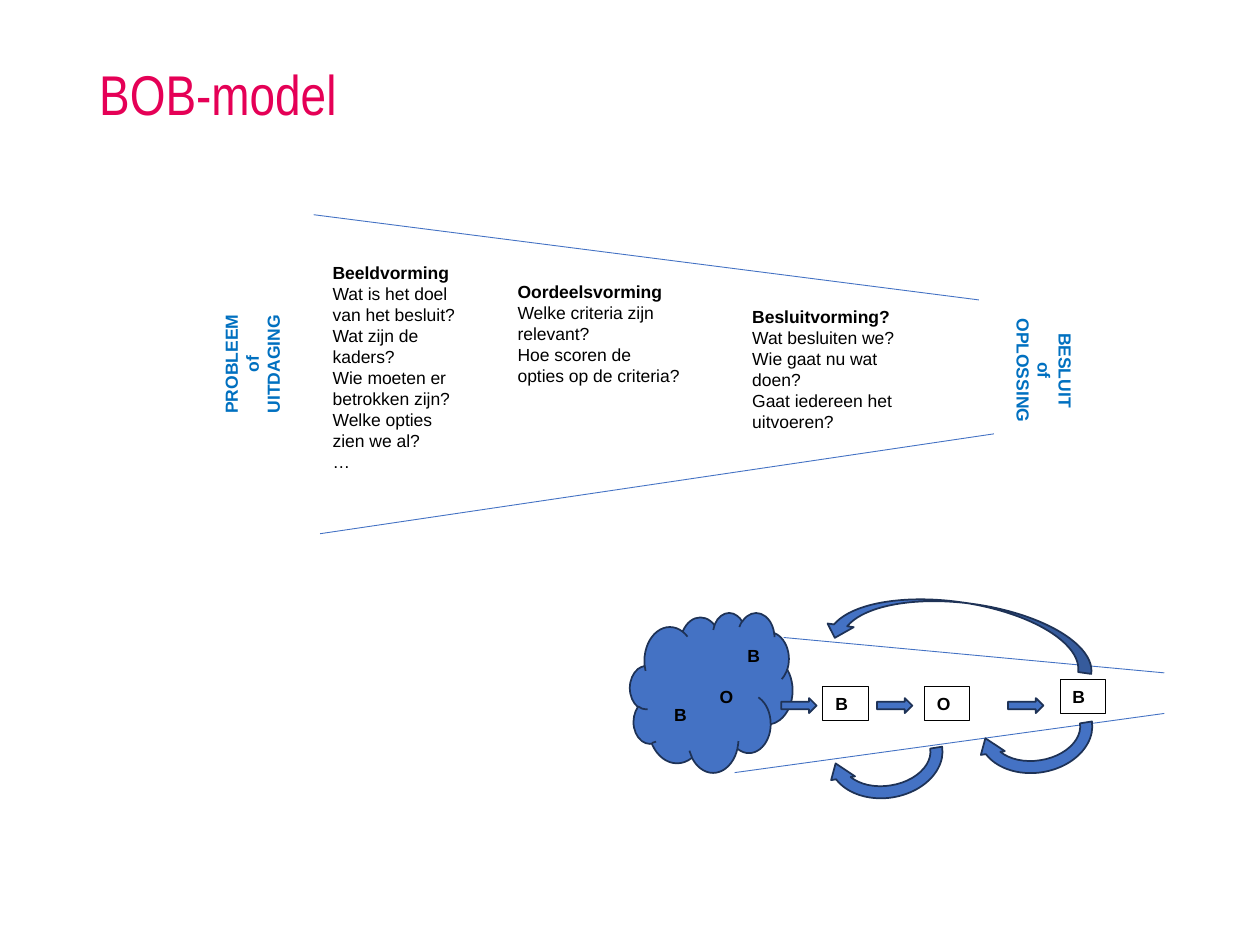
"""Build the BOB-model slide: a decision funnel above a small iterative loop."""
from dataclasses import dataclass

import pptx
import pptx.dml.color
import pptx.enum.shapes
import pptx.enum.text
import pptx.oxml
import pptx.util

Pt = pptx.util.Pt
Preset = pptx.enum.shapes.MSO_SHAPE
Align = pptx.enum.text.PP_ALIGN
Anchor = pptx.enum.text.MSO_ANCHOR


@dataclass(frozen=True)
class Theme:
    title: str = "E50056"
    blue: str = "4472C4"
    outline: str = "1E3256"
    label: str = "0070C0"
    black: str = "000000"
    white: str = "FFFFFF"
    title_font: str = "Arial Narrow"
    body_font: str = "Arial"
    title_size: float = 32
    body_size: float = 10
    hairline: float = 0.5
    edge: float = 1


THEME = Theme()


def rgb(value):
    return pptx.dml.color.RGBColor.from_string(value)


def add_span(para, text, font, size, color, bold=False):
    span = para.add_run()
    span.text = text
    span.font.name = font
    span.font.size = Pt(size)
    span.font.bold = bold
    span.font.color.rgb = rgb(color)


def add_title(page, text):
    box = page.shapes.title
    box.left, box.top, box.width, box.height = Pt(49.5), Pt(32.4), Pt(620.6), Pt(43.9)
    frame = box.text_frame
    frame.auto_size = pptx.enum.text.MSO_AUTO_SIZE.NONE
    frame.vertical_anchor = Anchor.BOTTOM
    para = frame.paragraphs[0]
    para.alignment = Align.LEFT
    para.line_spacing = 0.9
    add_span(para, text, THEME.title_font, THEME.title_size, THEME.title)


def add_box(page, preset, place, fill, line=None, weight=THEME.edge, turn=0):
    box = page.shapes.add_shape(preset, *(Pt(length) for length in place))
    box.shadow.inherit = False
    box.rotation = turn
    box.fill.solid()
    box.fill.fore_color.rgb = rgb(fill)
    if line:
        box.line.color.rgb = rgb(line)
        box.line.width = Pt(weight)
    else:
        box.line.fill.background()
    return box


def add_blue_shape(page, preset, place, turn=0):
    return add_box(page, preset, place, THEME.blue, THEME.outline, turn=turn)


def write_lines(box, lines, color, bold_count, alignment=Align.LEFT):
    frame = box.text_frame
    frame.word_wrap = True
    frame.vertical_anchor = Anchor.TOP
    for index, text in enumerate(lines):
        para = frame.add_paragraph() if index else frame.paragraphs[0]
        para.alignment = alignment
        for part, piece in enumerate(text.split("\n")):
            if part:
                para.add_line_break()
            add_span(para, piece, THEME.body_font, THEME.body_size, color, index < bold_count)


def add_stage(page, place, lines):
    box = add_box(page, Preset.RECTANGLE, place, THEME.white)
    write_lines(box, lines, THEME.black, 1)


def add_end_label(page, left, top, turn, lines):
    box = add_box(page, Preset.RECTANGLE, (left, top, 152.6, 50.4), THEME.white, turn=turn)
    write_lines(box, lines, THEME.label, len(lines), Align.CENTER)


def add_letter(page, left, top, letter, fill, line=None):
    box = add_box(page, Preset.RECTANGLE, (left, top, 26, 19.4), fill, line, THEME.hairline)
    write_lines(box, [letter], THEME.black, 1)


def add_line(page, *ends):
    line = page.shapes.add_connector(
        pptx.enum.shapes.MSO_CONNECTOR.STRAIGHT, *(Pt(length) for length in ends))
    line.line.color.rgb = rgb(THEME.blue)
    line.line.width = Pt(THEME.hairline)
    properties = line._element.spPr
    properties.append(pptx.oxml.parse_xml(
        '<a:effectLst xmlns:a="http://schemas.openxmlformats.org/drawingml/2006/main"/>'))


def add_funnel(page):
    add_line(page, 179.2, 122.7, 559.4, 171.4)
    add_line(page, 182.9, 305, 568.1, 247.9)
    add_stage(page, (183, 146.2, 90, 111.6), [
        "Beeldvorming", "Wat is het doel van het besluit?", "Wat zijn de kaders?",
        "Wie moeten er betrokken zijn?\nWelke opties zien we al?", "…"])
    add_stage(page, (288.7, 157, 108, 83.5), [
        "Oordeelsvorming", "Welke criteria zijn relevant?",
        "Hoe scoren de opties op de criteria?"])
    add_stage(page, (422.8, 171.4, 108, 76.3), [
        "Besluitvorming?", "Wat besluiten we?", "Wie gaat nu wat doen?",
        "Gaat iedereen het uitvoeren?"])
    add_end_label(page, 71.3, 182.9, 270, ["PROBLEEM", "of", "UITDAGING"])
    add_end_label(page, 517, 186.5, 90, ["BESLUIT", "of", "OPLOSSING"])


def add_loop(page):
    add_blue_shape(page, Preset.CLOUD, (360, 350, 92.9, 91.4))
    add_line(page, 447.8, 364.3, 665.3, 384.5)
    add_line(page, 419.8, 441.5, 665.3, 407.7)
    for left, top, letter in ((470.2, 392.4, "B"), (528.2, 392.4, "O"), (605.7, 388.3, "B")):
        add_letter(page, left, top, letter, THEME.white, THEME.black)
    for left, top, letter in ((378.2, 398.9, "B"), (404.2, 388.3, "O"), (420, 365, "B")):
        add_letter(page, left, top, letter, THEME.blue)
    for left, top in ((555.8, 389.6), (470.2, 404)):
        add_blue_shape(page, Preset.CIRCULAR_ARROW, (left, top, 72, 55.4), 171.1)
    add_blue_shape(page, Preset.CURVED_UP_ARROW, (470.9, 344.2, 155.5, 30.2), 188)
    for left in (446.4, 501.1, 576):
        add_blue_shape(page, Preset.RIGHT_ARROW, (left, 398.9, 20.2, 8.6))


def main():
    deck = pptx.Presentation()
    deck.slide_width, deck.slide_height = Pt(720), Pt(540)
    page = deck.slides.add_slide(deck.slide_layouts[5])
    add_title(page, "BOB-model")
    add_funnel(page)
    add_loop(page)
    deck.save("out.pptx")


if __name__ == "__main__":
    main()
